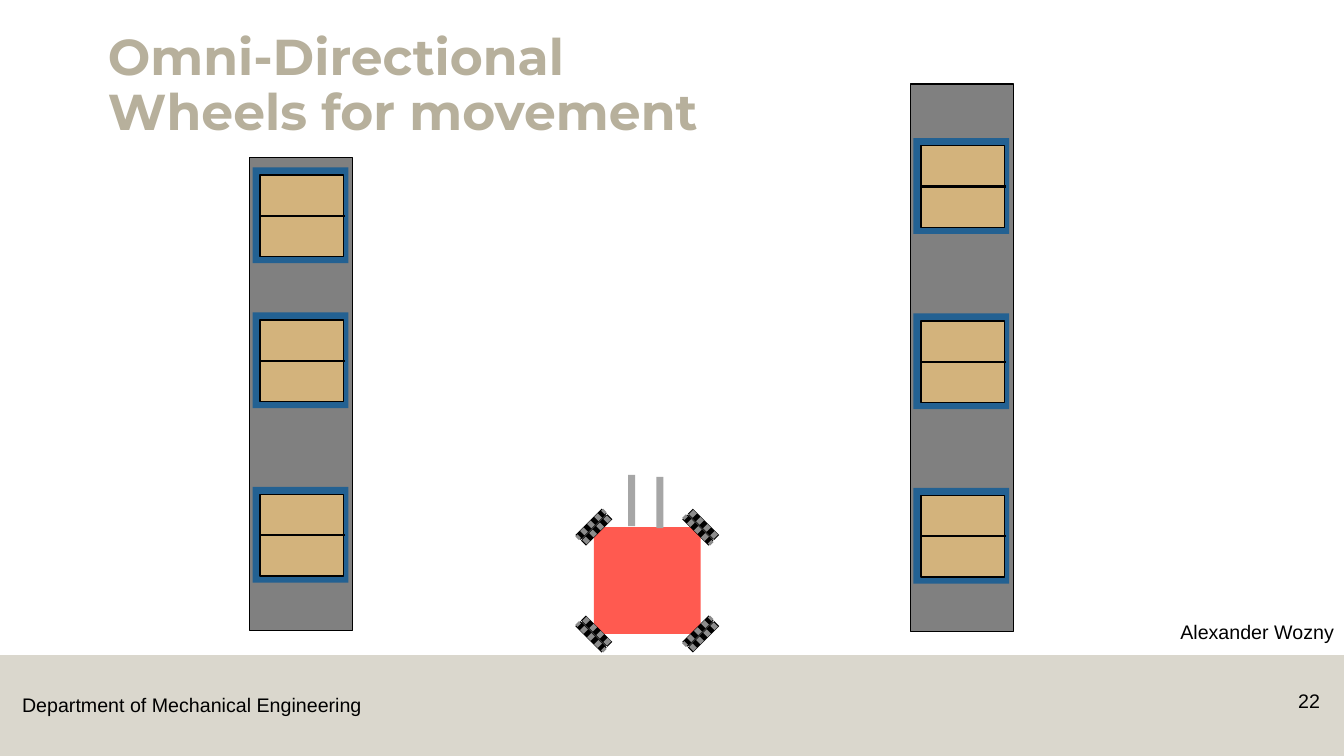
"""Build a slide showing an omni-directional robot between two pallet racks."""
import math
from dataclasses import dataclass

import pptx
import pptx.dml.color
import pptx.enum.shapes
import pptx.enum.text
import pptx.oxml.ns
import pptx.util
from lxml import etree

TITLE = "Omni-Directional Wheels for movement"
LABELS = [
    {"text": "Department of Mechanical Engineering", "area": (12, 683, 359, 34), "align": "LEFT", "wrap": False},
    {"text": "22", "area": (1242, 679, 77, 40), "align": "RIGHT", "wrap": True},
    {"text": "Alexander Wozny", "area": (883, 610, 450, 40), "align": "RIGHT", "wrap": True},
]
RACKS = [
    {"left": 903, "top": 83.5, "height": 543, "pallets": (137, 311, 484)},
    {"left": 247.5, "top": 156.5, "height": 469, "pallets": (166, 310, 483)},
]
RACK_WIDTH = 102
PALLET = 95
CARTON = (83, 81)
BODY = (589, 523, 106, 106)
FORKS = [(623, 471, 7, 51), (651, 473, 7, 51)]
WHEELS = [(1, 0, -45), (0, 1, -45), (1, 1, 45), (0, 0, 45)]
TREAD_PITCH = 9.9


@dataclass(frozen=True)
class Theme:
    """Colours, type sizes and line widths."""
    sand: str = "B7B09C"
    ink: str = "000000"
    rack: str = "808080"
    pallet: str = "236192"
    carton: str = "D3B37C"
    body: str = "FF5A50"
    fork: str = "A6A6A6"
    hub: str = "404040"
    tread: str = "8C8C8C"
    title_font: str = "Montserrat"
    text_font: str = "Arial"
    title_size: int = 36
    text_size: int = 14
    outline: float = 1
    seam: float = 1.5


THEME = Theme()
COLUMNS, ROWS = 1333, 750
CELL = pptx.util.Inches(0.01)
WHEEL_PARTS = (
    [(0, 0, 5, 34, THEME.hub)]
    + [(across, 0, 7, 37, THEME.ink) for across in (-4, 4)]
    + [(4, (step - 1.5) * TREAD_PITCH, 6, 5, THEME.tread) for step in range(4)]
    + [(-4, step * TREAD_PITCH, 6, 5, THEME.tread) for step in (-1, 0, 1)]
    + [(-4, along, 5, 3, THEME.tread) for along in (-18, 18)]
)


def cells(*counts):
    return [round(count * CELL) for count in counts]


def colour(code):
    return pptx.dml.color.RGBColor.from_string(code)


def add_block(shapes, area, fill, outlined=False):
    block = shapes.add_shape(pptx.enum.shapes.MSO_SHAPE.RECTANGLE, *cells(*area))
    block.shadow.inherit = False
    block.fill.solid()
    block.fill.fore_color.rgb = colour(fill)
    if outlined:
        block.line.color.rgb = colour(THEME.ink)
        block.line.width = pptx.util.Pt(THEME.outline)
    else:
        block.line.fill.background()
    return block


def add_seam(shapes, left, right, row):
    seam = shapes.add_connector(pptx.enum.shapes.MSO_CONNECTOR.STRAIGHT, *cells(left, row, right, row))
    seam.line.color.rgb = colour(THEME.ink)
    seam.line.width = pptx.util.Pt(THEME.seam)
    etree.SubElement(seam._element.spPr, pptx.oxml.ns.qn("a:effectLst"))


def add_rack(page, rack):
    shapes = page.shapes.add_group_shape().shapes
    add_block(shapes, (rack["left"], rack["top"], RACK_WIDTH, rack["height"]), THEME.rack, True)
    left = rack["left"] + 3
    width, height = CARTON
    for top in rack["pallets"]:
        add_block(shapes, (left, top, PALLET, PALLET), THEME.pallet)
        carton_left = left + 7.5
        add_block(shapes, (carton_left, top + 7.5, width, height), THEME.carton, True)
        add_seam(shapes, carton_left - 1, carton_left + width + 1, top + 48)


def add_wheel(shapes, centre_x, centre_y, angle):
    cosine, sine = math.cos(math.radians(angle)), math.sin(math.radians(angle))
    for across, along, width, height, fill in WHEEL_PARTS:
        x = centre_x + across * cosine - along * sine
        y = centre_y + across * sine + along * cosine
        part = add_block(shapes, (x - width / 2, y - height / 2, width, height), fill)
        part.rotation = angle


def add_robot(page):
    shapes = page.shapes.add_group_shape().shapes
    add_block(shapes, BODY, THEME.body)
    left, top, width, height = BODY
    for column, row, angle in WHEELS:
        add_wheel(shapes, left + column * width, top + row * height, angle)
    for fork in FORKS:
        add_block(shapes, fork, THEME.fork)


def add_footer_band(page):
    band = add_block(page.shapes, (0, 650, COLUMNS, 100), THEME.sand)
    fill = band._element.spPr.find(".//" + pptx.oxml.ns.qn("a:srgbClr"))
    etree.SubElement(fill, pptx.oxml.ns.qn("a:alpha"), val="50000")


def style_font(para, name, size, code, bold=False):
    para.font.name = name
    para.font.size = pptx.util.Pt(size)
    para.font.bold = bold
    para.font.color.rgb = colour(code)


def add_label(page, label):
    box = page.shapes.add_textbox(*cells(*label["area"]))
    box.text_frame.word_wrap = label["wrap"]
    para = box.text_frame.paragraphs[0]
    para.text = label["text"]
    para.alignment = pptx.enum.text.PP_ALIGN[label["align"]]
    style_font(para, THEME.text_font, THEME.text_size, THEME.ink)


def set_title(page):
    title = page.shapes.title
    title.left, title.top, title.width, title.height = cells(97, 11, 614, 134)
    frame = title.text_frame
    frame.text = TITLE
    frame.word_wrap = True
    frame.auto_size = pptx.enum.text.MSO_AUTO_SIZE.NONE
    frame.vertical_anchor = pptx.enum.text.MSO_ANCHOR.BOTTOM
    para = frame.paragraphs[0]
    para.alignment = pptx.enum.text.PP_ALIGN.LEFT
    para.line_spacing = 0.9
    style_font(para, THEME.title_font, THEME.title_size, THEME.sand, True)


def main():
    deck = pptx.Presentation()
    deck.slide_width, deck.slide_height = cells(COLUMNS, ROWS)
    page = deck.slides.add_slide(deck.slide_layouts[5])
    set_title(page)
    add_footer_band(page)
    for rack in RACKS:
        add_rack(page, rack)
    add_robot(page)
    for label in LABELS:
        add_label(page, label)
    deck.save("out.pptx")


if __name__ == "__main__":
    main()
